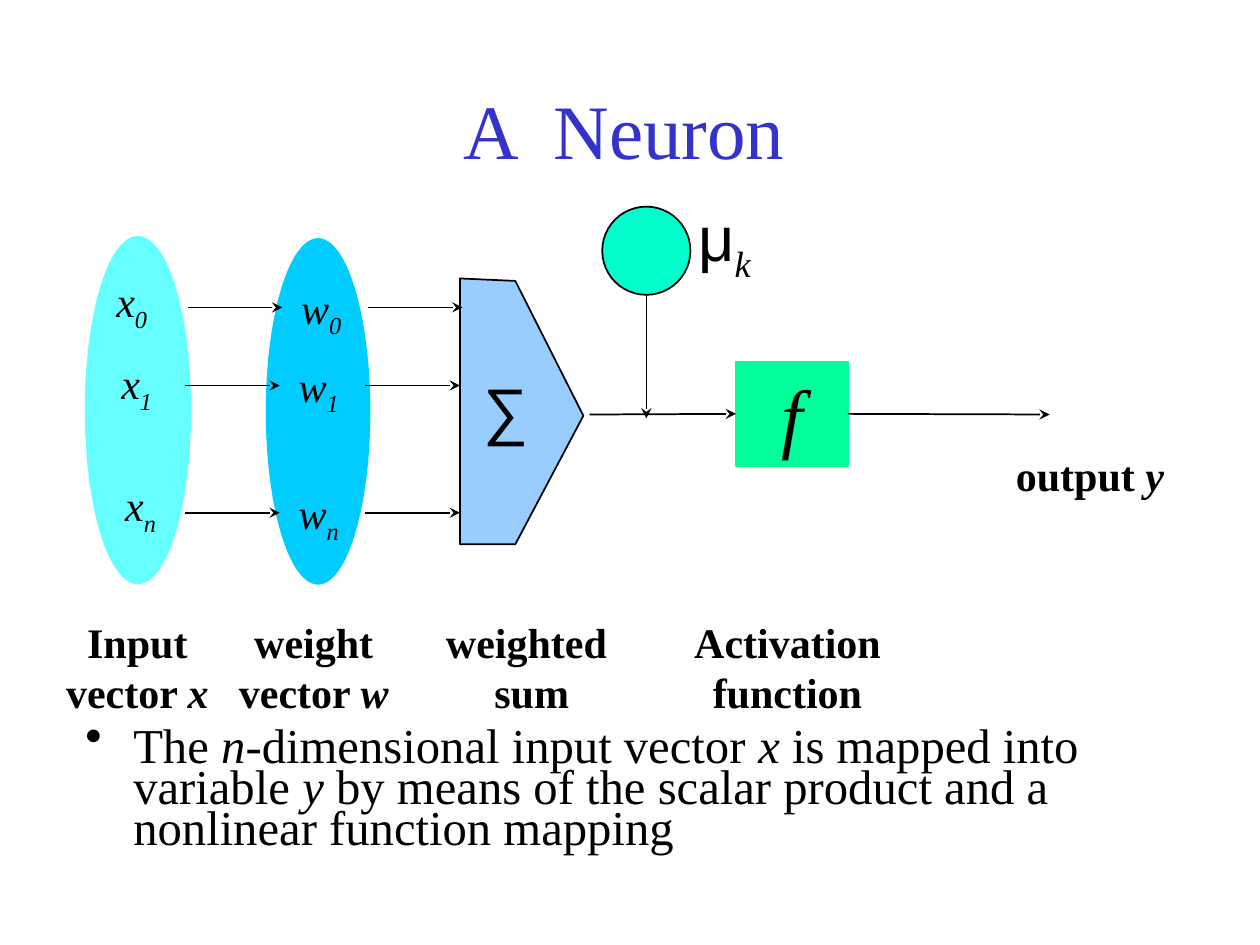
from pptx import Presentation
from pptx.dml.color import RGBColor
from pptx.enum.shapes import MSO_CONNECTOR, MSO_SHAPE
from pptx.enum.text import MSO_ANCHOR, PP_ALIGN
from pptx.oxml.ns import qn
from pptx.util import Inches, Pt
from lxml import etree

HUES = {
    "title": "3333CC", "ink": "000000", "input": "66FFFF", "weight": "00CCFF",
    "sum": "99CCFF", "bias": "00FFCC", "func": "00FF99",
}
SERIF = "Times New Roman"


class Deck:
    """Holds the style and the current slide."""

    def __init__(self):
        self.show = Presentation()
        self.show.slide_width, self.show.slide_height = Inches(10), Inches(7.5)
        self.slide = self.show.slides.add_slide(self.show.slide_layouts[5])
        self.shapes = self.slide.shapes

    def color(self, name):
        return RGBColor.from_string(HUES[name])

    def add_runs(self, para, runs, size, hue="ink"):
        """Each run is (text, marks): b bold, i italic, s subscript, a Arial."""
        for text, marks in runs:
            run = para.add_run()
            run.text = text
            font = run.font
            font.size, font.name = Pt(size), "Arial" if "a" in marks else SERIF
            font.bold, font.italic = "b" in marks, "i" in marks
            font.color.rgb = self.color(hue)
            if "s" in marks:
                font._element.set("baseline", "-25000")

    def title(self, text, *box):
        hold = self.shapes.title
        hold.left, hold.top, hold.width, hold.height = map(Inches, box)
        hold.text_frame.vertical_anchor = MSO_ANCHOR.BOTTOM
        para = hold.text_frame.paragraphs[0]
        para.alignment = PP_ALIGN.CENTER
        self.add_runs(para, [(text, "")], 44, "title")

    def label(self, box, *lines, size=24):
        frame = self.shapes.add_textbox(*map(Inches, box)).text_frame
        frame.word_wrap = False
        for n, runs in enumerate(lines):
            para = frame.add_paragraph() if n else frame.paragraphs[0]
            para.alignment = PP_ALIGN.CENTER
            self.add_runs(para, runs, size)

    def bullet(self, box, runs, size):
        frame = self.shapes.add_textbox(*map(Inches, box)).text_frame
        frame.word_wrap = True
        para = frame.paragraphs[0]
        props = para._p.get_or_add_pPr()
        props.set("marL", str(Inches(0.38)))
        props.set("indent", str(-Inches(0.38)))
        etree.SubElement(props, qn("a:buChar")).set("char", "•")
        para.line_spacing = 0.7
        self.add_runs(para, runs, size)

    def paint(self, shape, fill, line):
        shape.shadow.inherit = False
        shape.fill.solid()
        shape.fill.fore_color.rgb = self.color(fill)
        if line:
            shape.line.color.rgb = self.color(line)
            shape.line.width = Pt(1)
        else:
            shape.line.fill.background()
        return shape

    def shape(self, kind, box, fill, line=None):
        return self.paint(self.shapes.add_shape(kind, *map(Inches, box)), fill, line)

    def outline(self, points, fill, line):
        spots = [(Inches(x), Inches(y)) for x, y in points]
        form = self.shapes.build_freeform(*spots[0])
        form.add_line_segments(spots[1:], close=True)
        return self.paint(form.convert_to_shape(), fill, line)

    def arrow(self, *ends):
        wire = self.shapes.add_connector(MSO_CONNECTOR.STRAIGHT, *map(Inches, ends))
        wire.line.color.rgb = self.color("ink")
        wire.line.width = Pt(1)
        line = wire.line._get_or_add_ln()
        etree.SubElement(line, qn("a:tailEnd")).set("type", "stealth")
        etree.SubElement(wire._element.spPr, qn("a:effectLst"))
        return wire


def main():
    deck = Deck()
    deck.title("A  Neuron", 2, 0.42, 5.91, 1.02)

    # Explanation
    deck.bullet((0.58, 5.75, 8.83, 1.17), [
        ("The ", ""), ("n", "i"), ("-dimensional input vector ", ""), ("x", "i"),
        (" is mapped into variable ", ""), ("y", "i"),
        (" by means of the scalar product and a nonlinear function mapping", ""),
    ], 27.8)

    # Vectors, weighted sum and bias
    deck.shape(MSO_SHAPE.OVAL, (2.11, 1.89, 0.83, 2.75), "weight")
    deck.shape(MSO_SHAPE.OVAL, (0.68, 1.88, 0.83, 2.75), "input", "input")
    deck.outline([(3.65, 2.21), (3.65, 4.32), (4.09, 4.32), (4.63, 3.3), (4.09, 2.23)],
                 "sum", "ink")
    deck.label((3.74, 2.89, 0.55, 0.7), [("∑", "a")], size=36)
    deck.shape(MSO_SHAPE.OVAL, (4.78, 1.64, 0.7, 0.7), "bias", "ink")
    deck.label((5.44, 1.53, 0.62, 0.78), [("μ", "a"), ("k", "is")], size=36)

    # Activation function with its arrows
    func = deck.shape(MSO_SHAPE.RECTANGLE, (5.84, 2.87, 0.89, 0.83), "func", "func")
    para = func.text_frame.paragraphs[0]
    para.alignment = PP_ALIGN.CENTER
    deck.add_runs(para, [("f", "i")], 44)
    deck.arrow(4.68, 3.29, 5.84, 3.29).end_connect(func, 1)
    deck.arrow(6.73, 3.29, 8.33, 3.29).begin_connect(func, 3)
    deck.arrow(5.13, 2.34, 5.13, 3.32)

    # One row per vector element: index, arrow height, shift, place of x
    rows = [("0", 2.44, 0.02, 0.82, 2.14), ("1", 3.06, 0, 0.86, 2.79),
            ("n", 4.07, 0, 0.89, 3.76)]
    for mark, y, shift, left, top in rows:
        for start in (1.47, 2.9):
            deck.arrow(start + shift, y, start + shift + 0.75, y)
        deck.label((left, top, 0.45, 0.56), [("x", "i"), (mark, "is")])
        deck.label((2.27 + shift, y - 0.25, 0.52, 0.56), [("w", "i"), (mark, "is")])

    # Captions
    captions = [
        (0.42, 1.34, "Input", [("vector ", "b"), ("x", "bi")]),
        (1.79, 1.4, "weight", [("vector ", "b"), ("w", "bi")]),
        (3.44, 1.56, "weighted ", [("sum", "b")]),
        (5.41, 1.68, "Activation", [("function", "b")]),
    ]
    for left, width, head, tail in captions:
        deck.label((left, 4.84, width, 0.9), [(head, "b")], tail)
    deck.label((7.96, 3.52, 1.38, 0.5), [("output ", "b"), ("y", "bi")])

    deck.show.save("out.pptx")


if __name__ == "__main__":
    main()
